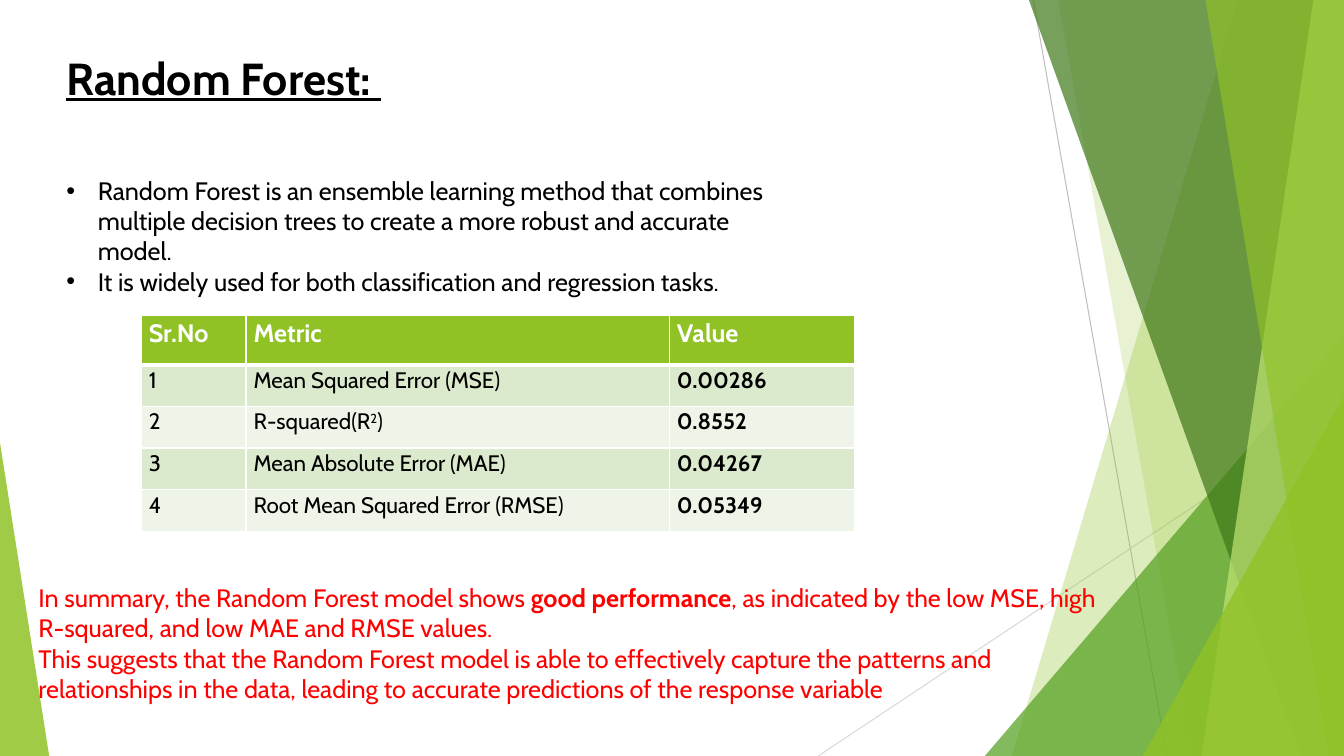
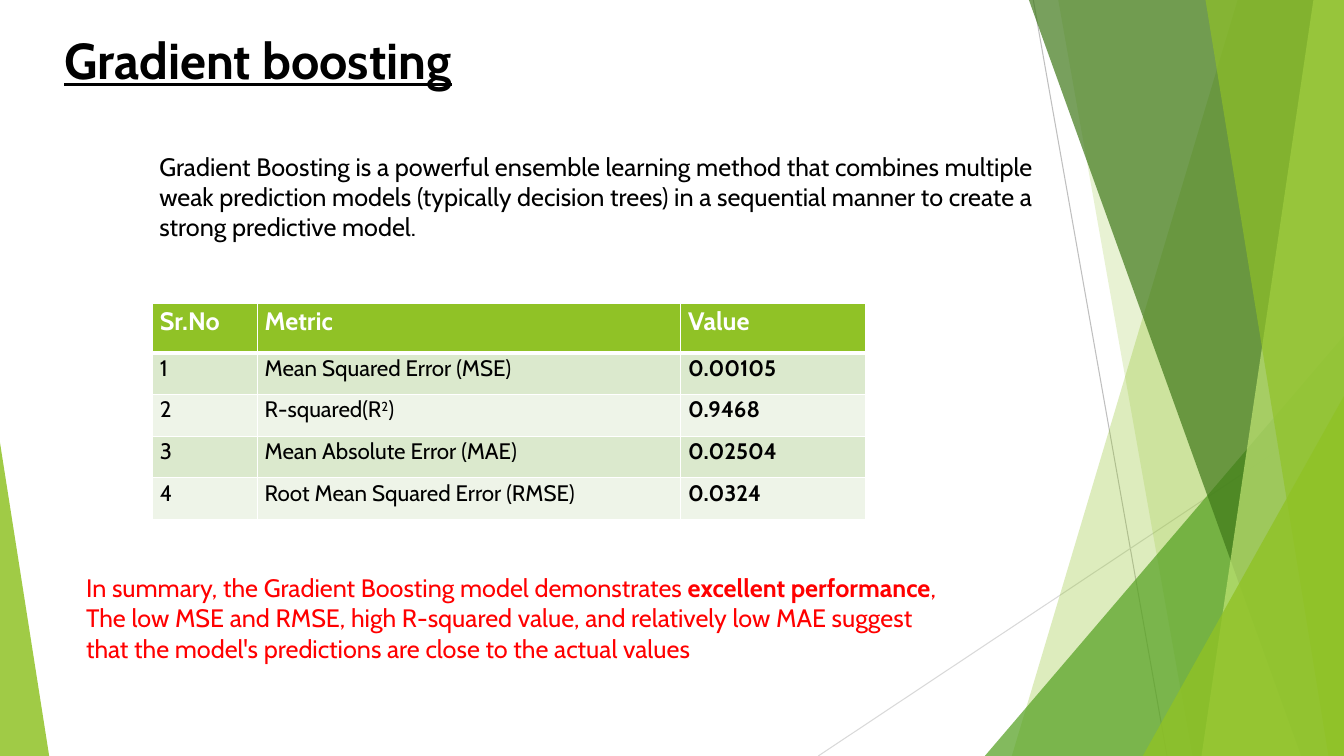
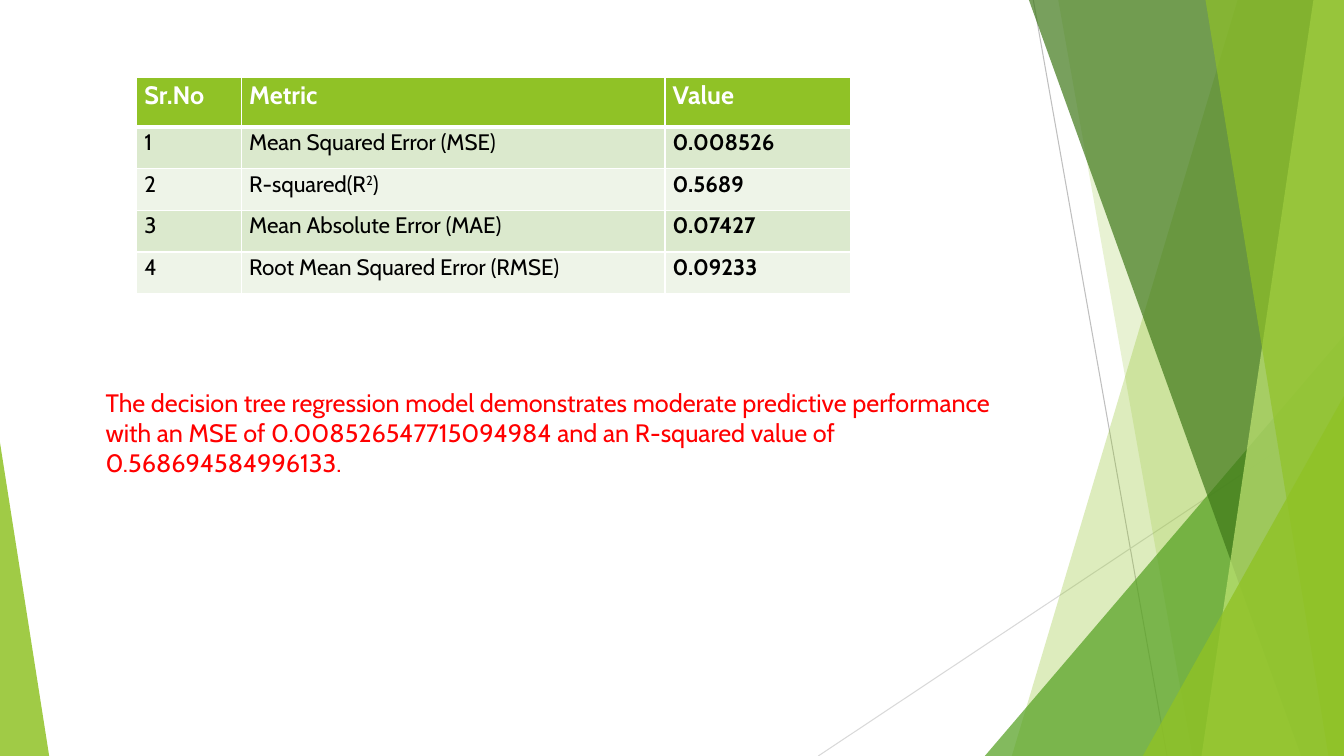
import dataclasses

import lxml.etree
import pptx
import pptx.dml.color
import pptx.enum.shapes
import pptx.enum.text
import pptx.oxml.ns
import pptx.util

Cm = pptx.util.Cm
Pt = pptx.util.Pt
qn = pptx.oxml.ns.qn
WIDTH, HEIGHT = 33.87, 19.05


@dataclasses.dataclass(frozen=True)
class Theme:
    font: str = "Cabin"
    ink: str = "000000"
    paper: str = "FFFFFF"
    alert: str = "FF0000"
    accent: str = "90C226"
    leaf: str = "54A021"
    forest: str = "3F7819"
    lime: str = "C0E474"
    bands: tuple = ("DBE9CD", "EEF4E8")
    guides: tuple = ("BFBFBF", "D9D9D9")
    title_size: int = 32
    large_title_size: int = 36
    text_size: int = 18
    cell_size: int = 16


THEME = Theme()
TITLE_LAYOUT, BLANK_LAYOUT = 1, 6
METRICS = (
    [("Mean Squared Error (MSE)", {})],
    [("R-squared(R", {}), ("2", {"raised": True}), (")", {})],
    [("Mean Absolute Error (MAE)", {})],
    [("Root Mean Squared Error (RMSE)", {})],
)
GUIDES = (
    (26.04, 0, 29.41, HEIGHT),
    (WIDTH, 10.24, 20.62, HEIGHT),
)
FACETS = (
    ("wedge", 31.19, 25.5, THEME.accent, 30),
    ("wedge", 26.67, 30.05, THEME.accent, 20),
    ("triangle", 24.82, 8.46, THEME.leaf, 72),
    ("wedge", 25.93, 32.79, THEME.forest, 70),
    ("wedge", 33.1, 30.28, THEME.lime, 70),
    ("wedge", 30.38, 33.48, THEME.accent, 65),
    ("triangle", 28.8, 9.98, THEME.accent, 80),
)


def rgb(color):
    return pptx.dml.color.RGBColor.from_string(color)


def write(para, text, size=THEME.text_size, color=THEME.ink, bold=False,
          underline=False, raised=False):
    span = para.add_run()
    span.text = text
    font = span.font
    font.name = THEME.font
    font.size = Pt(size)
    font.color.rgb = rgb(color)
    font.bold = bold
    font.underline = underline
    if raised:
        span._r.get_or_add_rPr().set("baseline", "30000")


def place(box, left, top, width, height):
    box.left, box.top, box.width, box.height = map(Cm, (left, top, width, height))
    frame = box.text_frame
    frame.word_wrap = True
    frame.auto_size = pptx.enum.text.MSO_AUTO_SIZE.NONE
    frame.vertical_anchor = pptx.enum.text.MSO_ANCHOR.TOP
    return frame


def paragraphs(frame, count):
    for _ in range(count - 1):
        frame.add_paragraph()
    return frame.paragraphs


def paint(shape, color, opacity):
    shape.shadow.inherit = False
    shape.fill.solid()
    shape.fill.fore_color.rgb = rgb(color)
    shape.line.fill.background()
    tone = shape.element.xpath("./p:spPr/a:solidFill/a:srgbClr")[0]
    lxml.etree.SubElement(tone, qn("a:alpha"), val=str(opacity * 1000))


def border(cell, side, points):
    line = lxml.etree.Element(qn(f"a:ln{side}"), w=str(Pt(points)))
    fill = lxml.etree.SubElement(line, qn("a:solidFill"))
    lxml.etree.SubElement(fill, qn("a:srgbClr"), val=THEME.paper)
    cell._tc.get_or_add_tcPr().insert("LRTB".index(side), line)


class Deck:
    def __init__(self, theme):
        self.theme = theme
        self.file = pptx.Presentation()
        self.file.slide_width = Cm(WIDTH)
        self.file.slide_height = Cm(HEIGHT)
        self.page = None

    def add_page(self, layout):
        self.page = self.file.slides.add_slide(self.file.slide_layouts[layout])

    def share_backdrop(self):
        group = self.page.shapes.add_group_shape()
        for points, color in zip(GUIDES, self.theme.guides):
            self.guide(group, points, color)
        for kind, first, second, color, opacity in FACETS:
            if kind == "wedge":
                self.wedge(group, first, second, color, opacity)
            else:
                self.triangle(group, first, second, WIDTH - first, 1, color, opacity)
        self.triangle(group, 0, 11.15, 1.24, 0, self.theme.accent, 85)
        for number, item in enumerate(group.element.xpath(".//p:cNvPr"), 100):
            item.set("id", str(number))
        self.file.slide_master.shapes.element.append(group.element)

    def guide(self, group, points, color):
        line = group.shapes.add_connector(
            pptx.enum.shapes.MSO_CONNECTOR.STRAIGHT, *map(Cm, points))
        line.line.color.rgb = rgb(color)
        line.line.width = Pt(0.75)
        lxml.etree.SubElement(line.element.spPr, qn("a:effectLst"))

    def wedge(self, group, top, bottom, color, opacity):
        outline = group.shapes.build_freeform(Cm(top), 0)
        corners = ((WIDTH, 0), (WIDTH, HEIGHT), (bottom, HEIGHT))
        outline.add_line_segments([(Cm(x), Cm(y)) for x, y in corners])
        paint(outline.convert_to_shape(), color, opacity)

    def triangle(self, group, left, top, width, apex, color, opacity):
        shape = group.shapes.add_shape(
            pptx.enum.shapes.MSO_SHAPE.ISOSCELES_TRIANGLE,
            Cm(left), Cm(top), Cm(width), Cm(HEIGHT - top))
        shape.adjustments[0] = apex
        paint(shape, color, opacity)

    def title(self, text, area, size):
        frame = place(self.page.shapes.title, *area)
        para = frame.paragraphs[0]
        para.alignment = pptx.enum.text.PP_ALIGN.LEFT
        write(para, text, size=size, bold=True, underline=True)

    def body(self, lines, area, bulleted=False):
        frame = place(self.page.placeholders[1], *area)
        indent = Cm(0.79) if bulleted else 0
        for para, text in zip(paragraphs(frame, len(lines)), lines):
            para.space_before = Pt(0)
            style = para._p.get_or_add_pPr()
            style.set("marL", str(indent))
            style.set("indent", str(-indent))
            if bulleted:
                lxml.etree.SubElement(style, qn("a:buChar"), char="•")
            else:
                lxml.etree.SubElement(style, qn("a:buNone"))
            write(para, text)

    def summary(self, lines, area):
        box = self.page.shapes.add_textbox(*map(Cm, area))
        frame = place(box, *area)
        for para, spans in zip(paragraphs(frame, len(lines)), lines):
            for text, style in spans:
                write(para, text, color=self.theme.alert, **style)

    def metrics(self, left, top, values):
        widths, heights = (2.64, 10.67, 4.67), (1.24,) + (1.05,) * len(values)
        table = self.page.shapes.add_table(
            len(heights), len(widths), Cm(left), Cm(top),
            Cm(sum(widths)), Cm(sum(heights))).table
        for column, width in zip(table.columns, widths):
            column.width = Cm(width)
        for row, height in zip(table.rows, heights):
            row.height = Cm(height)
        heading = {"size": self.theme.text_size, "color": self.theme.paper, "bold": True}
        self.row(table, 0, [[(name, heading)] for name in ("Sr.No", "Metric", "Value")],
                 self.theme.accent)
        for number, (metric, value) in enumerate(zip(METRICS, values), 1):
            cells = [[(str(number), {})], metric, [(value, {"bold": True})]]
            self.row(table, number, cells, self.theme.bands[(number - 1) % 2])

    def row(self, table, index, contents, fill):
        for cell, spans in zip(table.rows[index].cells, contents):
            cell.margin_left = cell.margin_right = Cm(0.19)
            cell.margin_top = cell.margin_bottom = 0
            cell.fill.solid()
            cell.fill.fore_color.rgb = rgb(fill)
            for side in "LRTB":
                thick = (index, side) in ((0, "B"), (1, "T"))
                border(cell, side, 3 if thick else 1)
            para = cell.text_frame.paragraphs[0]
            para.line_spacing = 1.07
            for text, style in spans:
                write(para, text, **{"size": self.theme.cell_size, **style})


def main():
    deck = Deck(THEME)
    strong = {"bold": True}

    deck.add_page(TITLE_LAYOUT)
    deck.share_backdrop()
    deck.title("Random Forest: ", (1.42, 1.14, 11.96, 2.39), THEME.title_size)
    deck.body([
        "Random Forest is an ensemble learning method that combines multiple decision "
        "trees to create a more robust and accurate model.",
        "It is widely used for both classification and regression tasks.",
    ], (1.42, 4.29, 18.47, 4.11), bulleted=True)
    deck.summary([
        [("In summary, the Random Forest model shows ", {}),
         ("good performance", strong),
         (", as indicated by the low MSE, high R-squared, and low MAE and RMSE values.", {})],
        [("This suggests that the Random Forest model is able to effectively capture the "
          "patterns and relationships in the data, leading to accurate predictions of the "
          "response variable", {})],
    ], (0.72, 14.55, 27.2, 3.33))
    deck.metrics(3.56, 7.95, ("0.00286", "0.8552", "0.04267", "0.05349"))

    deck.add_page(TITLE_LAYOUT)
    deck.title("Gradient boosting", (1.37, 0.61, 13.69, 2.57), THEME.large_title_size)
    deck.body([
        "Gradient Boosting is a powerful ensemble learning method that combines multiple "
        "weak prediction models (typically decision trees) in a sequential manner to "
        "create a strong predictive model.",
    ], (3.76, 3.68, 22.61, 3.33))
    deck.summary([
        [("In summary, the Gradient Boosting model demonstrates ", {}),
         ("excellent performance", strong),
         (", The low MSE and RMSE, high R-squared value, and relatively low MAE suggest "
          "that the model's predictions are close to the actual values", {})],
    ], (1.92, 14.3, 22.2, 2.57))
    deck.metrics(3.84, 7.65, ("0.00105", "0.9468", "0.02504", "0.0324"))

    deck.add_page(BLANK_LAYOUT)
    deck.summary([
        [("The decision tree regression model demonstrates moderate predictive performance "
          "with an MSE of 0.008526547715094984 and an R-squared value of "
          "0.568694584996133.", {})],
    ], (2.41, 9.63, 24.05, 4.11))
    deck.metrics(3.45, 1.96, ("0.008526", "0.5689", "0.07427", "0.09233"))

    deck.file.save("out.pptx")


if __name__ == "__main__":
    main()
